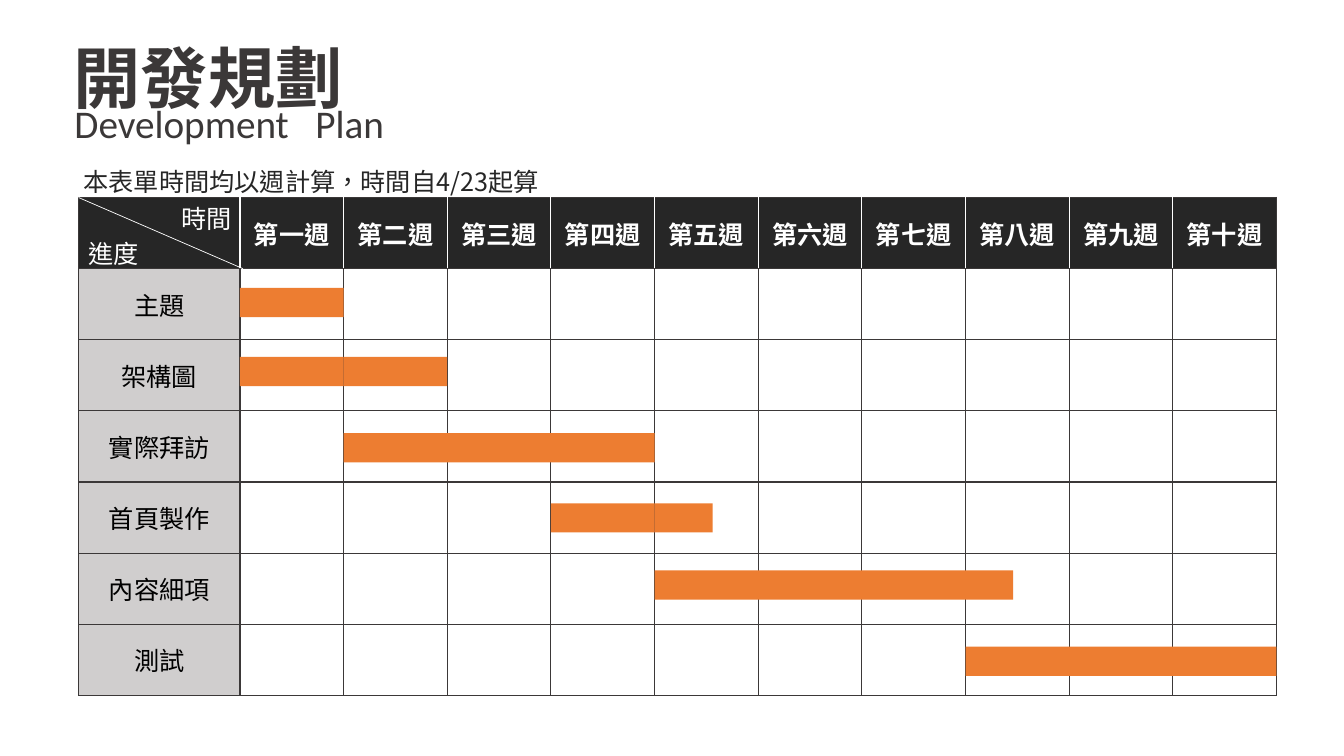
from dataclasses import dataclass
from lxml.etree import SubElement
from pptx import Presentation
from pptx.dml.color import RGBColor
from pptx.enum.shapes import MSO_CONNECTOR, MSO_SHAPE
from pptx.enum.text import MSO_ANCHOR, MSO_AUTO_SIZE, PP_ALIGN
from pptx.oxml.ns import qn
from pptx.util import Inches, Pt


@dataclass(frozen=True)
class Theme:
    ink: str = "3B3838"
    head: str = "262626"
    label: str = "D0CECE"
    white: str = "FFFFFF"
    black: str = "000000"
    bar: str = "ED7D31"
    cjk: str = "Noto Sans CJK SC"
    latin: str = "Calibri"
    title: int = 48
    sub: int = 28
    body: int = 18


THEME = Theme()

# Grid of the schedule, in inches
LEFT, TOP = 0.78, 1.96
WIDTH, HEIGHT = 11.88, 4.94
LABEL_W = 1.6
BAR_H = 0.29

WEEKS = [f"第{n}週" for n in "一二三四五六七八九十"]
WEEK_W = (WIDTH - LABEL_W) / len(WEEKS)

# Task, first week (from 0), length of each bar in weeks, drop below row top
TASKS = [
    ("主題", 0, [1], 0.19),
    ("架構圖", 0, [1, 1], 0.17),
    ("實際拜訪", 1, [1, 1, 1], 0.22),
    ("首頁製作", 3, [1, 0.56], 0.21),
    ("內容細項", 4, [1, 1, 1.46], 0.17),
    ("測試", 7, [1, 1, 1], 0.22),
]
ROW_H = HEIGHT / (len(TASKS) + 1)


def rgb(code):
    return RGBColor.from_string(code)


def add_run(para, text, size, color, face=THEME.cjk, bold=False):
    run = para.add_run()
    run.text = text
    font = run.font
    font.size, font.bold, font.name = Pt(size), bold, face
    font.color.rgb = rgb(color)
    props = font._element
    props.set("lang", "zh-TW" if face == THEME.cjk else "en-US")
    east = props.makeelement(qn("a:ea"), {"typeface": face})
    props.find(qn("a:latin")).addnext(east)


def add_text(slide, box, text, size, color, face=THEME.cjk, wrap=True):
    frame = slide.shapes.add_textbox(*map(Inches, box)).text_frame
    frame.word_wrap = wrap
    add_run(frame.paragraphs[0], text, size, color, face)


def set_title(slide, box, text):
    title = slide.shapes.title
    title.left, title.top, title.width, title.height = map(Inches, box)
    frame = title.text_frame
    frame.auto_size = MSO_AUTO_SIZE.NONE
    frame.vertical_anchor = MSO_ANCHOR.TOP
    para = frame.paragraphs[0]
    para.alignment = PP_ALIGN.LEFT
    para.line_spacing = 1.0
    add_run(para, text, THEME.title, THEME.ink, bold=True)


def set_edges(cell, left, right):
    props = cell._tc.get_or_add_tcPr()
    sides = {"L": left, "R": right, "T": THEME.ink, "B": THEME.ink}
    for side, color in sides.items():
        line = SubElement(props, qn(f"a:ln{side}"), w=str(Pt(1)))
        fill = SubElement(line, qn("a:solidFill"))
        SubElement(fill, qn("a:srgbClr"), val=color)


def fill_cell(cell, fill, text="", color=THEME.black, bold=False,
              left=THEME.ink, right=THEME.ink):
    set_edges(cell, left, right)
    cell.fill.solid()
    cell.fill.fore_color.rgb = rgb(fill)
    cell.vertical_anchor = MSO_ANCHOR.MIDDLE
    if text:
        para = cell.text_frame.paragraphs[0]
        para.alignment = PP_ALIGN.CENTER
        add_run(para, text, THEME.body, color, bold=bold)


def add_grid(slide):
    box = map(Inches, (LEFT, TOP, WIDTH, HEIGHT))
    table = slide.shapes.add_table(len(TASKS) + 1, len(WEEKS) + 1, *box).table
    table.horz_banding = False
    for i, col in enumerate(table.columns):
        col.width = Inches(WEEK_W if i else LABEL_W)
    for row in table.rows:
        row.height = Inches(ROW_H)

    # Header row: white lines between the weeks
    for i, text in enumerate([""] + WEEKS):
        fill_cell(table.cell(0, i), THEME.head, text, THEME.white, True,
                  left=THEME.white if i else THEME.ink,
                  right=THEME.white if i < len(WEEKS) else THEME.ink)

    # Task rows
    for r, (task, *_) in enumerate(TASKS, 1):
        fill_cell(table.cell(r, 0), THEME.label, task)
        for i in range(1, len(WEEKS) + 1):
            fill_cell(table.cell(r, i), THEME.white)


def add_split(slide):
    ends = (LEFT, TOP, LEFT + LABEL_W + 0.03, TOP + ROW_H)
    line = slide.shapes.add_connector(MSO_CONNECTOR.STRAIGHT, *map(Inches, ends))
    line.line.color.rgb = rgb(THEME.white)
    line.line.width = Pt(0.5)
    SubElement(line._element.spPr, qn("a:effectLst"))


def add_bar(slide, week, span, top):
    box = (LEFT + LABEL_W + week * WEEK_W, top, span * WEEK_W, BAR_H)
    bar = slide.shapes.add_shape(MSO_SHAPE.RECTANGLE, *map(Inches, box))
    bar.shadow.inherit = False
    bar.fill.solid()
    bar.fill.fore_color.rgb = rgb(THEME.bar)
    bar.line.fill.background()


def main():
    deck = Presentation()
    deck.slide_width, deck.slide_height = Inches(13.33), Inches(7.5)
    slide = deck.slides.add_slide(deck.slide_layouts[5])

    # Headings
    set_title(slide, (0.63, 0.31, 4.34, 0.91), "開發規劃")
    add_text(slide, (0.64, 0.94, 5.68, 0.57), "Development   Plan",
             THEME.sub, THEME.ink, THEME.latin)

    # Schedule table with its split corner cell
    add_grid(slide)
    add_split(slide)
    add_text(slide, (LEFT, 2.32, 0.71, 0.4), "進度",
             THEME.body, THEME.white, wrap=False)
    add_text(slide, (1.7, 1.97, 0.71, 0.4), "時間",
             THEME.body, THEME.white, wrap=False)
    add_text(slide, (0.73, 1.6, 5.04, 0.4),
             "本表單時間均以週計算，時間自4/23起算", THEME.body, THEME.head)

    # Progress bars
    for r, (_, start, spans, drop) in enumerate(TASKS, 1):
        for i, span in enumerate(spans):
            add_bar(slide, start + i, span, TOP + r * ROW_H + drop)

    deck.save("out.pptx")


main()
